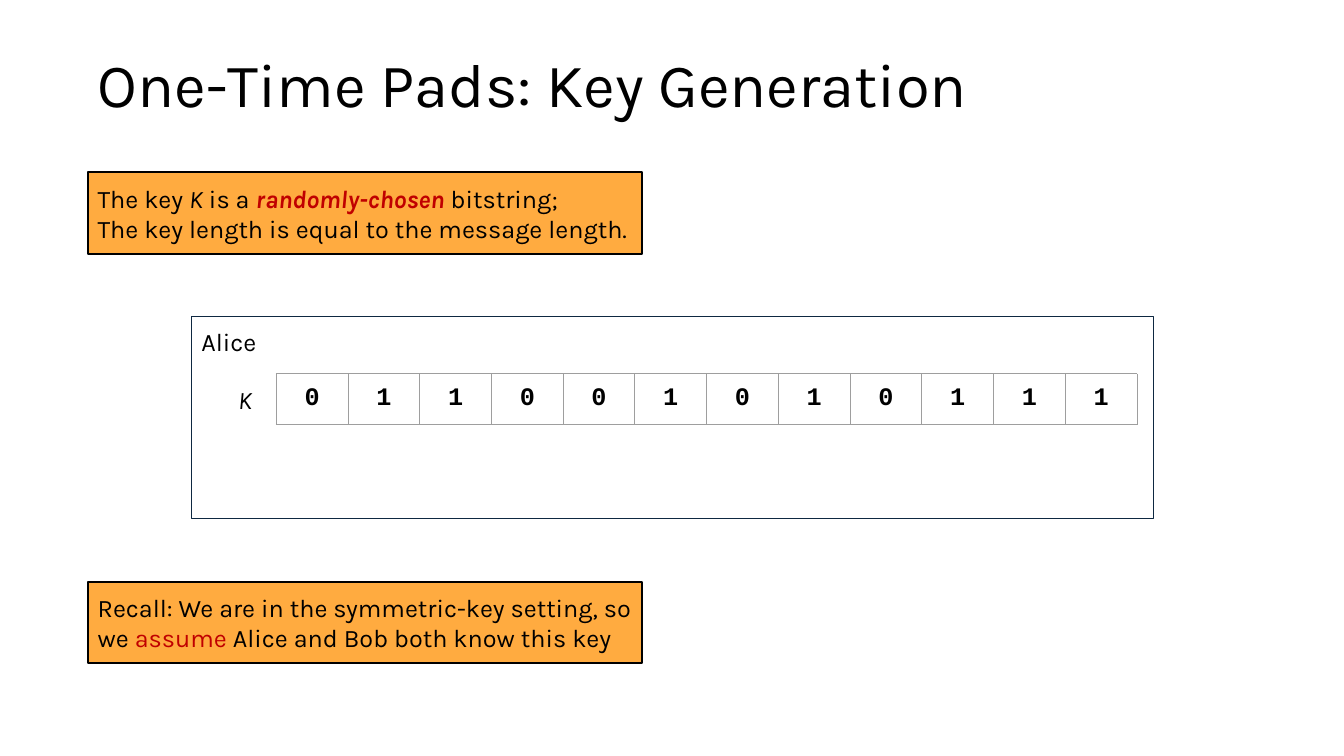
from pptx import Presentation
from pptx.dml.color import RGBColor
from pptx.enum.shapes import MSO_SHAPE as Shape
from pptx.enum.text import MSO_ANCHOR as Anchor, PP_ALIGN as Align
from pptx.oxml import parse_xml
from pptx.oxml.ns import nsdecls
from pptx.util import Inches, Pt

BLACK, RED, ORANGE, NAVY, GRAY = "000000", "C00000", "FFAB40", "0E2841", "9E9E9E"
KEY_BITS = "011001010111"
TITLE_ONLY = 5


def color(hex_string):
    """Turn a hex string into a colour."""
    return RGBColor.from_string(hex_string)


def add_run(paragraph, text, size=18, name="Karla", ink=BLACK, bold=False, italic=False):
    """Append one formatted run to a paragraph."""
    run = paragraph.add_run()
    run.text = text
    font = run.font
    font.size, font.name, font.bold, font.italic = Pt(size), name, bold, italic
    font.color.rgb = color(ink)


def set_margins(target, margin):
    """Give a text frame or table cell equal margins on all sides."""
    target.margin_left = target.margin_right = Inches(margin)
    target.margin_top = target.margin_bottom = Inches(margin)


def fill_title(slide, text):
    """Place and format the slide title."""
    title = slide.shapes.title
    title.left, title.top = Inches(0.87), Inches(0.46)
    title.width, title.height = Inches(12.23), Inches(0.81)
    frame = title.text_frame
    frame.vertical_anchor = Anchor.MIDDLE
    paragraph = frame.paragraphs[0]
    paragraph.alignment = Align.LEFT
    paragraph.line_spacing = 0.9
    add_run(paragraph, text, size=44)


def add_box(slide, left, top, width, height, line, weight, fill=None):
    """Add a rectangle with an outline and an optional fill."""
    box = slide.shapes.add_shape(
        Shape.RECTANGLE, Inches(left), Inches(top), Inches(width), Inches(height))
    box.shadow.inherit = False
    box.line.color.rgb = color(line)
    box.line.width = Pt(weight)
    if fill:
        box.fill.solid()
        box.fill.fore_color.rgb = color(fill)
    else:
        box.fill.background()
    return box


def add_note(slide, top, lines):
    """Add an orange note whose lines are lists of (text, format) runs."""
    frame = add_box(slide, 0.87, top, 5.5, 0.81, BLACK, 1.5, ORANGE).text_frame
    frame.word_wrap = True
    frame.vertical_anchor = Anchor.MIDDLE
    set_margins(frame, 0.1)
    for index, runs in enumerate(lines):
        paragraph = frame.add_paragraph() if index else frame.paragraphs[0]
        paragraph.alignment = Align.LEFT
        for text, style in runs:
            add_run(paragraph, text, **style)


def add_label(slide, left, top, width, height, text, align=Align.LEFT, italic=False):
    """Add a one-line text label."""
    frame = slide.shapes.add_textbox(
        Inches(left), Inches(top), Inches(width), Inches(height)).text_frame
    frame.word_wrap = True
    set_margins(frame, 0.1)
    paragraph = frame.paragraphs[0]
    paragraph.alignment = align
    add_run(paragraph, text, italic=italic)


def set_borders(cell, line, weight):
    """Draw all four borders of a table cell."""
    properties = cell._tc.get_or_add_tcPr()
    for position, side in enumerate(("lnL", "lnR", "lnT", "lnB")):
        border = parse_xml(
            f'<a:{side} {nsdecls("a")} w="{Pt(weight)}"><a:solidFill>'
            f'<a:srgbClr val="{line}"/></a:solidFill></a:{side}>')
        properties.insert(position, border)


def add_bit_table(slide, left, top, width, height, bits):
    """Add a one-row table with one bit in each cell."""
    table = slide.shapes.add_table(
        1, len(bits), Inches(left), Inches(top), Inches(width), Inches(height)).table
    table.first_row = table.horz_banding = False
    for cell, bit in zip(table.iter_cells(), bits):
        cell.fill.background()
        set_margins(cell, 0.1)
        set_borders(cell, GRAY, 0.75)
        paragraph = cell.text_frame.paragraphs[0]
        paragraph.alignment = Align.CENTER
        add_run(paragraph, bit, name="Courier New", bold=True)


def main():
    """Build and save the slide."""
    presentation = Presentation()
    presentation.slide_width, presentation.slide_height = Inches(13.33), Inches(7.5)
    slide = presentation.slides.add_slide(presentation.slide_layouts[TITLE_ONLY])

    fill_title(slide, "One-Time Pads: Key Generation")
    add_note(slide, 1.71, [
        [("The key ", {}), ("K", {"italic": True}), (" is a ", {}),
         ("randomly-chosen", {"ink": RED, "bold": True, "italic": True}),
         (" bitstring;", {})],
        [("The key length is equal to the message length.", {})],
    ])
    add_box(slide, 1.9, 3.14, 9.54, 2, NAVY, 0.75)
    add_label(slide, 1.9, 3.14, 0.84, 0.5, "Alice")
    add_label(slide, 2.13, 3.71, 0.6, 0.44, "K", Align.CENTER, italic=True)
    add_bit_table(slide, 2.74, 3.71, 8.54, 0.5, KEY_BITS)
    add_note(slide, 5.77, [
        [("Recall: We are in the symmetric-key setting, so we ", {}),
         ("assume", {"ink": RED}),
         (" Alice and Bob both know this key", {})],
    ])
    presentation.save("out.pptx")


if __name__ == "__main__":
    main()
